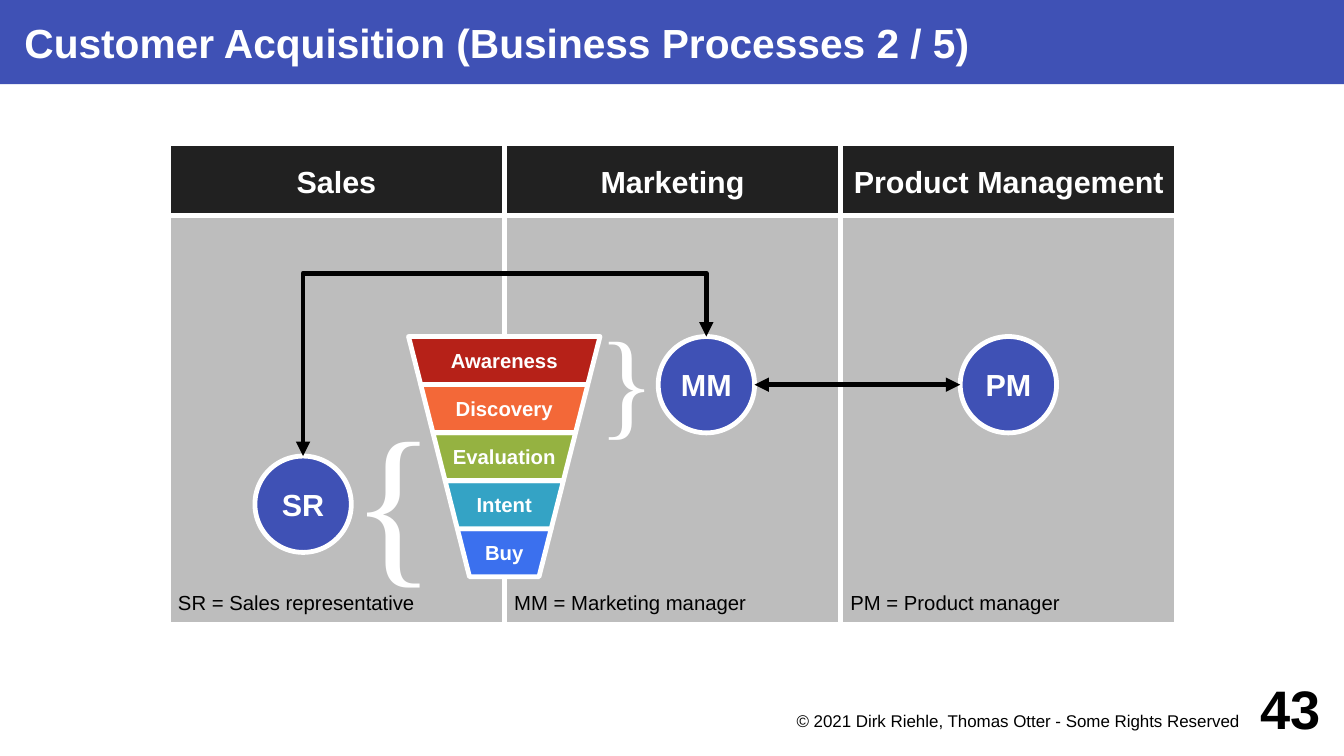
from pptx import Presentation
from pptx.dml.color import RGBColor
from pptx.enum.shapes import MSO_CONNECTOR, MSO_SHAPE
from pptx.enum.text import MSO_ANCHOR, PP_ALIGN
from pptx.oxml.ns import qn
from pptx.util import Inches, Pt
from lxml import etree

STRAIGHT, ELBOW = MSO_CONNECTOR.STRAIGHT, MSO_CONNECTOR.ELBOW
RECTANGLE, OVAL = MSO_SHAPE.RECTANGLE, MSO_SHAPE.OVAL
TOP, MIDDLE, BOTTOM = MSO_ANCHOR.TOP, MSO_ANCHOR.MIDDLE, MSO_ANCHOR.BOTTOM
LEFT, CENTER, RIGHT = PP_ALIGN.LEFT, PP_ALIGN.CENTER, PP_ALIGN.RIGHT

COLORS = {
    "blue": "3F51B5", "white": "FFFFFF", "black": "000000",
    "lane": "BDBDBD", "header": "212121",
}
LINE_WIDTH = Pt(2.83)
PADDING = (0.08, 0.08, 0.08, 0.08)
LANE_PADDING = (0.08, 0.1, 0.08, 0.08)
CIRCLE_SIZE = 0.79

# header, legend, role, circle offset from the top left of the lane
LANES = [
    ("Sales", "SR = Sales representative", "SR", (0.71, 2.56)),
    ("Marketing", "MM = Marketing manager", "MM", (1.26, 1.58)),
    ("Product Management", "PM = Product manager", "PM", (0.98, 1.58)),
]
FUNNEL_STAGES = [
    ("Awareness", "B62118"), ("Discovery", "F36838"), ("Evaluation", "95B241"),
    ("Intent", "34A3C5"), ("Buy", "3B70EE"),
]


def rgb(color):
    return RGBColor.from_string(COLORS.get(color, color))


def set_text(shape, text, size=18, color="white", bold=False, font="Arial",
             align=CENTER, anchor=MIDDLE, padding=PADDING, wrap=False):
    frame = shape.text_frame
    frame.word_wrap = wrap
    frame.vertical_anchor = anchor
    (frame.margin_left, frame.margin_top,
     frame.margin_right, frame.margin_bottom) = map(Inches, padding)
    paragraph = frame.paragraphs[0]
    paragraph.text = text
    paragraph.alignment = align
    paragraph.font.name = font
    paragraph.font.size = Pt(size)
    paragraph.font.bold = bold
    paragraph.font.color.rgb = rgb(color)


def style_shape(shape, fill, outline="white"):
    shape.shadow.inherit = False
    shape.fill.solid()
    shape.fill.fore_color.rgb = rgb(fill)
    if outline:
        shape.line.color.rgb = rgb(outline)
        shape.line.width = LINE_WIDTH
    else:
        shape.line.fill.background()


def add_box(slide, kind, box, fill, text, outline="white", **text_format):
    shape = slide.shapes.add_shape(kind, *map(Inches, box))
    style_shape(shape, fill, outline)
    set_text(shape, text, **text_format)
    return shape


def add_label(slide, box, text, **text_format):
    shape = slide.shapes.add_textbox(*map(Inches, box))
    set_text(shape, text, wrap=True, **text_format)


def add_double_arrow(slide, kind, *ends):
    connector = slide.shapes.add_connector(kind, *ends)
    connector.line.color.rgb = rgb("black")
    connector.line.width = LINE_WIDTH
    properties = connector._element.spPr
    line = properties.find(qn("a:ln"))
    for end in ("a:headEnd", "a:tailEnd"):
        etree.SubElement(line, qn(end), type="triangle")
    etree.SubElement(properties, qn("a:effectLst"))
    return connector


def add_overhead_arrow(slide, right, left, clearance):
    """Join the tops of two shapes by an elbow that passes above both."""
    right_x, left_x = right.left + right.width // 2, left.left + left.width // 2
    span, drop = right_x - left_x, left.top - right.top
    box_left = (right_x + left_x - drop) // 2
    box_top = (right.top + left.top - span) // 2
    connector = add_double_arrow(slide, ELBOW, box_left, box_top,
                                 box_left + drop, box_top + span)
    properties = connector._element.spPr
    properties.find(qn("a:xfrm")).set("rot", "5400000")
    adjustments = properties.find(qn("a:prstGeom")).find(qn("a:avLst"))
    bend = round(-100000 * clearance / drop)
    etree.SubElement(adjustments, qn("a:gd"), name="adj1", fmla=f"val {bend}")


def add_lane(slide, box, header, legend, role, offset):
    """Draw one department and return the circle of its role."""
    left, top, width, height = box
    header_height = 0.59
    add_box(slide, RECTANGLE,
            (left, top + header_height, width, height - header_height), "lane",
            legend, size=12, color="black", align=LEFT, anchor=BOTTOM,
            padding=LANE_PADDING, wrap=True)
    add_box(slide, RECTANGLE, (left, top, width, header_height), "header",
            header, bold=True, padding=LANE_PADDING)
    return add_box(slide, OVAL,
                   (left + offset[0], top + offset[1], CIRCLE_SIZE, CIRCLE_SIZE),
                   "blue", role, bold=True)


def add_lanes(slide, box):
    left, top, width, height = box
    lane_width = width / len(LANES)
    sales, marketing, product = [
        add_lane(slide, (left + index * lane_width, top, lane_width, height), *lane)
        for index, lane in enumerate(LANES)
    ]
    middle = marketing.top + marketing.height // 2
    add_double_arrow(slide, STRAIGHT, marketing.left + marketing.width, middle,
                     product.left, middle)
    add_overhead_arrow(slide, marketing, sales, Inches(0.52))


def add_funnel(slide, box):
    left, top, width, height = box
    stage_height = height / len(FUNNEL_STAGES)
    taper = 0.1
    for index, (name, color) in reversed(list(enumerate(FUNNEL_STAGES))):
        upper = top + index * stage_height
        lower = upper + stage_height
        inset = index * taper
        corners = [
            (left + inset, upper), (left + width - inset, upper),
            (left + width - inset - taper, lower), (left + inset + taper, lower),
        ]
        points = [(Inches(x), Inches(y)) for x, y in corners]
        builder = slide.shapes.build_freeform(*points[0])
        builder.add_line_segments(points[1:], close=True)
        stage = builder.convert_to_shape()
        style_shape(stage, color)
        set_text(stage, name, size=12, bold=True)

    add_label(slide, (left + 1.3, top - 0.28, 0.98, 1.23), "}",
              size=70, font="Times New Roman")
    add_label(slide, (left - 1.22, top + 0.17, 2.2, 2.24), "{",
              size=104, font="Times New Roman")


def add_title(slide, box):
    add_box(slide, RECTANGLE, box, "blue",
            "Customer Acquisition (Business Processes 2 / 5)", outline=None,
            size=24, bold=True, align=LEFT, padding=(0.2, 0, 0, 0), wrap=True)


def add_footer(slide, box):
    left, top, width, height = box
    add_label(slide, (left, top + 0.3, 4.33, 0.3),
              "© 2021 Dirk Riehle, Thomas Otter - Some Rights Reserved",
              size=10, color="black", align=RIGHT, anchor=TOP,
              padding=(0, 0.02, 0.08, 0))
    add_label(slide, (left + width - 0.79, top, 0.79, height), "43", size=32,
              color="black", bold=True, align=RIGHT, padding=(0, 0, 0, 0))


def main():
    presentation = Presentation()
    presentation.slide_width = Inches(11.02)
    presentation.slide_height = Inches(6.2)
    slide = presentation.slides.add_slide(presentation.slide_layouts[6])
    add_title(slide, (0, 0, 11.02, 0.69))
    add_lanes(slide, (1.38, 1.18, 8.27, 3.94))
    add_funnel(slide, (3.35, 2.76, 1.57, 1.97))
    add_footer(slide, (5.91, 5.51, 4.92, 0.59))
    presentation.save("out.pptx")


if __name__ == "__main__":
    main()
